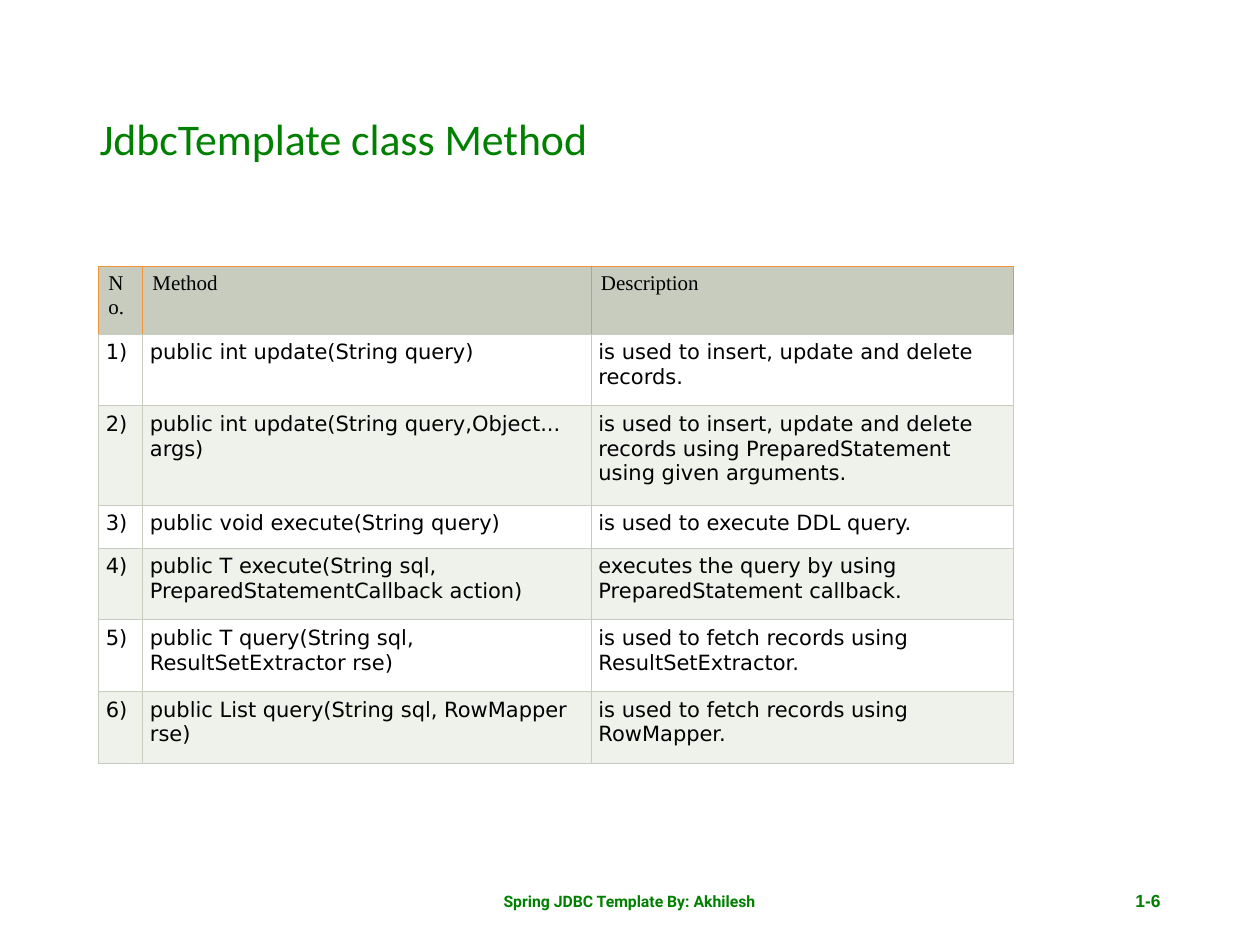
from dataclasses import dataclass

from lxml import etree
from pptx import Presentation
from pptx.dml.color import RGBColor
from pptx.enum import text
from pptx.oxml import ns
from pptx.util import Inches, Pt


@dataclass(frozen=True)
class Theme:
    green: str = "008000"
    ink: str = "000000"
    white: str = "FFFFFF"
    band: str = "EFF1EB"
    header: str = "C7CCBE"
    accent: str = "F09436"
    title_font: str = "Calibri"
    header_font: str = "Times New Roman"
    body_font: str = "DejaVu Sans"
    title_size: float = 25
    table_size: float = 12
    border_width: float = 0.34


class Deck:
    def __init__(self, prs, theme):
        self.theme = theme
        # Title Only layout
        self.s = prs.slides.add_slide(prs.slide_layouts[5])

    def format_runs(self, p, font, size, color, bold=False):
        for r in p.runs:
            r.font.name = font
            r.font.size = Pt(size)
            r.font.bold = bold
            r.font.color.rgb = RGBColor.from_string(color)

    def place(self, sp, box):
        sp.left, sp.top, sp.width, sp.height = (Inches(v) for v in box)

    def title(self, words, box):
        sp = self.s.shapes.title
        self.place(sp, box)
        tf = sp.text_frame
        tf.text = words
        tf.word_wrap = True
        tf.vertical_anchor = text.MSO_ANCHOR.MIDDLE
        p = tf.paragraphs[0]
        p.alignment = text.PP_ALIGN.LEFT
        p.line_spacing = 0.9
        self.format_runs(p, self.theme.title_font, self.theme.title_size, self.theme.green)

    def footer(self, words, box, font, size, align):
        tf = self.s.shapes.add_textbox(*(Inches(v) for v in box)).text_frame
        tf.text = words
        tf.word_wrap = True
        tf.vertical_anchor = text.MSO_ANCHOR.MIDDLE
        p = tf.paragraphs[0]
        p.alignment = align
        self.format_runs(p, font, size, self.theme.green, bold=True)

    def borders(self, cell, colors):
        tc_pr = cell._tc.get_or_add_tcPr()
        for i, (side, color) in enumerate(zip("LRTB", colors)):
            ln = etree.Element(ns.qn(f"a:ln{side}"), w=str(Pt(self.theme.border_width)))
            fill = etree.SubElement(ln, ns.qn("a:solidFill"))
            etree.SubElement(fill, ns.qn("a:srgbClr"), val=color)
            tc_pr.insert(i, ln)

    def cell(self, cell, words, font, fill, margin, border_colors):
        cell.text = words
        cell.margin_left = cell.margin_right = Inches(margin)
        cell.margin_top = cell.margin_bottom = Inches(0.05)
        cell.fill.solid()
        cell.fill.fore_color.rgb = RGBColor.from_string(fill)
        self.format_runs(cell.text_frame.paragraphs[0], font, self.theme.table_size, self.theme.ink)
        self.borders(cell, border_colors)

    def table(self, rows, left, top, widths, heights):
        th = self.theme
        frame = self.s.shapes.add_table(
            len(rows), len(widths), Inches(left), Inches(top),
            Inches(sum(widths)), Inches(sum(heights)))
        table = frame.table
        for column, width in zip(table.columns, widths):
            column.width = Inches(width)
        for i, (row, height) in enumerate(zip(rows, heights)):
            table.rows[i].height = Inches(height)
            if i == 0:
                style = (th.header_font, th.header, 0.08, [th.accent] * 3 + [th.header])
            else:
                fill = th.white if i % 2 else th.band
                style = (th.body_font, fill, 0.06, [th.header] * 4)
            for j, words in enumerate(row):
                self.cell(table.cell(i, j), words, *style)


HEADER = ("No.", "Method", "Description")
METHODS = [
    ("public int update(String query)",
     "is used to insert, update and delete records."),
    ("public int update(String query,Object... args)",
     "is used to insert, update and delete records using PreparedStatement "
     "using given arguments."),
    ("public void execute(String query)",
     "is used to execute DDL query."),
    ("public T execute(String sql, PreparedStatementCallback action)",
     "executes the query by using PreparedStatement callback."),
    ("public T query(String sql, ResultSetExtractor rse)",
     "is used to fetch records using ResultSetExtractor."),
    ("public List query(String sql, RowMapper rse)",
     "is used to fetch records using RowMapper."),
]


def main():
    prs = Presentation()
    prs.slide_width, prs.slide_height = Inches(10), Inches(7.5)
    deck = Deck(prs, Theme())

    # Title
    deck.title("JdbcTemplate class Method", (0.69, 0.4, 8.63, 1.45))

    # Footer and page number
    deck.footer("Spring JDBC Template By: Akhilesh", (3.31, 6.95, 3.37, 0.4),
                "Roboto", 9, text.PP_ALIGN.CENTER)
    deck.footer("1-6", (7.06, 6.95, 2.25, 0.4), "Arial", 10, text.PP_ALIGN.RIGHT)

    # Method table
    rows = [HEADER] + [(f"{n})", *method) for n, method in enumerate(METHODS, 1)]
    deck.table(rows, 0.78, 2.11, (0.35, 3.56, 3.35),
               (0.54, 0.57, 0.79, 0.34, 0.57, 0.57, 0.57))

    prs.save("out.pptx")


if __name__ == "__main__":
    main()
